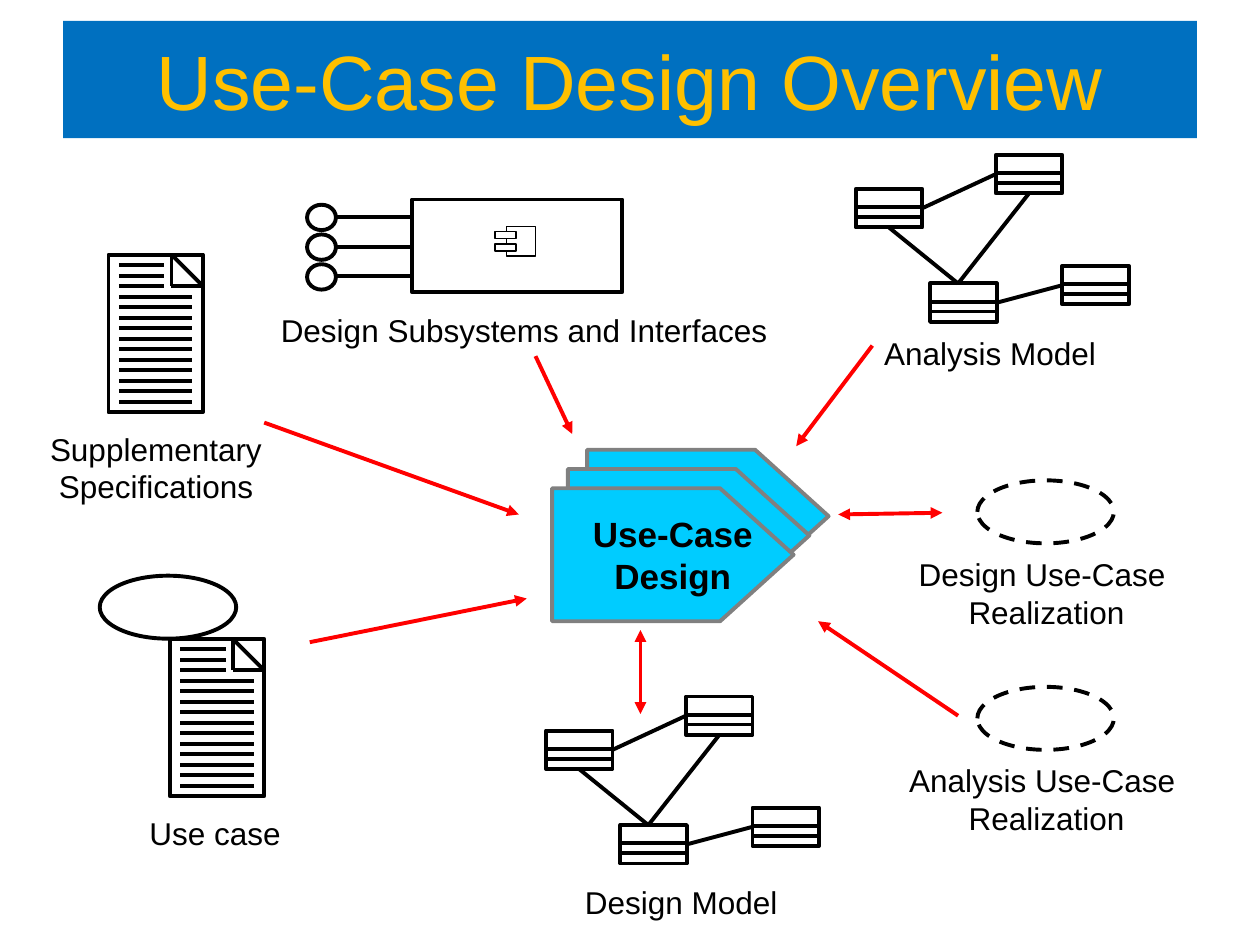
"""Builds a slide giving an overview of use-case design and its inputs and outputs."""
from lxml import etree
from pptx import Presentation
from pptx.dml.color import RGBColor
from pptx.enum.dml import MSO_LINE
from pptx.enum.shapes import MSO_CONNECTOR, MSO_SHAPE
from pptx.enum.text import MSO_ANCHOR, MSO_AUTO_SIZE, PP_ALIGN
from pptx.oxml.ns import qn
from pptx.util import Pt

RECTANGLE, OVAL = MSO_SHAPE.RECTANGLE, MSO_SHAPE.OVAL
STRAIGHT, DASH = MSO_CONNECTOR.STRAIGHT, MSO_LINE.DASH
CENTER, MIDDLE = PP_ALIGN.CENTER, MSO_ANCHOR.MIDDLE
TOP_SIDE, LEFT_SIDE, BOTTOM_SIDE, RIGHT_SIDE = range(4)

BLACK = RGBColor(0x00, 0x00, 0x00)
RED = RGBColor(0xFF, 0x00, 0x00)
GRAY = RGBColor(0x80, 0x80, 0x80)
CYAN = RGBColor(0x00, 0xCC, 0xFF)
BLUE = RGBColor(0x00, 0x70, 0xC0)
GOLD = RGBColor(0xFF, 0xC0, 0x00)

FONT = "Arial"
THICK, THIN = 2.25, 1

TITLE = "Use-Case Design Overview"
TITLE_BOX = (36, 12, 648, 67)
PROCESS_NAME = ["Use-Case", "Design"]
PROCESS_CORNERS = [(335.5, 257), (324.5, 268), (315.5, 279)]
PROCESS_OUTLINE = [(0, 0), (96, 0), (138, 38), (96, 76), (0, 76)]

SPECIFICATION = ((62, 145.5), ["Supplementary", "Specifications"], (21.6, 242, 135, 50))
USE_CASE = ((97, 365), ["Use case"], (50.4, 461.5, 145, 29))
USE_CASE_OVAL = (57, 329, 78, 36)
MODELS = [
    ((312, 398), ["Design Model"], (327, 501, 124.5, 29)),
    ((489, 88.5), ["Analysis Model"], (498, 187.5, 135.5, 29)),
]
REALIZATIONS = [
    ((558.5, 274.5, 78, 36), ["Design Use-Case ", "Realization"], (518, 313.5, 160, 50)),
    ((558.5, 392.5, 78, 36), ["Analysis Use-Case ", "Realization"], (512.5, 431.5, 171, 50)),
]
SUBSYSTEM_BOX = (235.5, 114, 120, 53)
SUBSYSTEM_LABEL = (["Design Subsystems and Interfaces"], (153.5, 174, 292, 29))
INTERFACE_TOPS = [117, 134, 151]
COMPONENT_OUTLINE = [(289.5, 132), (289.5, 129.5), (306, 129.5),
                     (306, 146.5), (289.5, 146.5), (289.5, 144)]
COMPONENT_TABS = [132.3, 139.5]

CLASS_SIZE = (38, 22)
CLASS_OFFSETS = [(0, 19.5), (80, 0), (42.5, 73.5), (118, 63.5)]
CLASS_DIVIDERS = [10.5, 16]
CLASS_HUB = (58.5, 73.5)

ARROWS = [
    ((479, 294), (538.5, 293), True),
    ((177, 367), (301, 342), False),
    ((151, 241.5), (296.5, 294), False),
    ((498.5, 197.5), (455, 255), False),
    ((306, 203.5), (327, 248), False),
    ((366, 408), (366, 360), True),
    ((547.5, 409), (467.5, 355), False),
]


def add_line(shapes, start, end, color=BLACK, width=THICK):
    line = shapes.add_connector(STRAIGHT, *map(Pt, start + end))
    line.line.color.rgb = color
    line.line.width = Pt(width)
    etree.SubElement(line._element.spPr, qn("a:effectLst"))
    return line


def add_arrow(shapes, start, end, both_ends):
    outline = add_line(shapes, start, end, RED).line._get_or_add_ln()
    for tag in ["a:headEnd", "a:tailEnd"] if both_ends else ["a:tailEnd"]:
        etree.SubElement(outline, qn(tag), type="triangle")


def style_shape(shape, color=BLACK, width=THICK, fill=None):
    shape.shadow.inherit = False
    if fill is None:
        shape.fill.background()
    else:
        shape.fill.solid()
        shape.fill.fore_color.rgb = fill
    shape.line.color.rgb = color
    shape.line.width = Pt(width)
    return shape


def add_outline(shapes, kind, box, width=THICK):
    return style_shape(shapes.add_shape(kind, *map(Pt, box)), width=width)


def add_freeform(shapes, points, close):
    corners = [(Pt(x), Pt(y)) for x, y in points]
    builder = shapes.build_freeform(*corners[0])
    builder.add_line_segments(corners[1:], close=close)
    return builder.convert_to_shape()


def write_lines(frame, lines, size, color=BLACK, bold=False):
    for index, line in enumerate(lines):
        paragraph = frame.add_paragraph() if index else frame.paragraphs[0]
        paragraph.alignment = CENTER
        run = paragraph.add_run()
        run.text = line
        run.font.name = FONT
        run.font.size = Pt(size)
        run.font.bold = bold
        run.font.color.rgb = color


def add_label(shapes, lines, box):
    frame = shapes.add_textbox(*map(Pt, box)).text_frame
    frame.word_wrap = False
    frame.auto_size = MSO_AUTO_SIZE.SHAPE_TO_FIT_TEXT
    frame.margin_left = frame.margin_right = Pt(0)
    write_lines(frame, lines, 18)


def add_document(shapes, corner, label, label_box):
    left, top = corner
    add_outline(shapes, RECTANGLE, (left, top, 54, 90))
    fold = [(left + 36, top), (left + 54, top + 18), (left + 36, top + 18)]
    for index, point in enumerate(fold):
        add_line(shapes, fold[index - 1], point)
    for row in range(1, 15):
        right = left + (32 if row <= 3 else 48)
        add_line(shapes, (left + 6, top + 6 * row), (right, top + 6 * row))
    add_label(shapes, label, label_box)


def add_model(shapes, corner, label, label_box):
    left, top = corner
    width, height = CLASS_SIZE
    classes = []
    for x, y in CLASS_OFFSETS:
        x, y = left + x, top + y
        classes.append(add_outline(shapes, RECTANGLE, (x, y, width, height)))
        for divider in CLASS_DIVIDERS:
            add_line(shapes, (x, y + divider), (x + width, y + divider))
    hub = (left + CLASS_HUB[0], top + CLASS_HUB[1])
    for index in (0, 1):
        x, y = CLASS_OFFSETS[index]
        end = (left + x + width / 2, top + y + height)
        add_line(shapes, hub, end).end_connect(classes[index], BOTTOM_SIDE)
    for first, second in [(0, 1), (2, 3)]:
        (x1, y1), (x2, y2) = CLASS_OFFSETS[first], CLASS_OFFSETS[second]
        link = add_line(shapes, (left + x1 + width, top + y1 + height / 2),
                        (left + x2, top + y2 + height / 2))
        link.begin_connect(classes[first], RIGHT_SIDE)
        link.end_connect(classes[second], LEFT_SIDE)
    add_label(shapes, label, label_box)


def add_subsystem(shapes):
    add_outline(shapes, RECTANGLE, SUBSYSTEM_BOX)
    for top in INTERFACE_TOPS:
        add_outline(shapes, OVAL, (175.5, top, 16.5, 14.5))
        add_line(shapes, (192, top + 7), (SUBSYSTEM_BOX[0], top + 7))
    add_label(shapes, *SUBSYSTEM_LABEL)
    icon = shapes.add_group_shape().shapes
    for top in COMPONENT_TABS:
        add_outline(icon, RECTANGLE, (283, top, 12, 4), THIN)
    style_shape(add_freeform(icon, COMPONENT_OUTLINE, False), width=THIN)
    add_line(icon, (289.5, 136.5), (289.5, 139.5), width=THIN)


def add_process(shapes):
    for left, top in PROCESS_CORNERS:
        points = [(left + x, top + y) for x, y in PROCESS_OUTLINE]
        process = style_shape(add_freeform(shapes, points, True), GRAY, fill=CYAN)
    frame = process.text_frame
    frame.word_wrap = False
    frame.vertical_anchor = MIDDLE
    write_lines(frame, PROCESS_NAME, 20, bold=True)


def add_title(slide):
    title = slide.shapes.title
    title.left, title.top, title.width, title.height = map(Pt, TITLE_BOX)
    title.fill.solid()
    title.fill.fore_color.rgb = BLUE
    title.text_frame.vertical_anchor = MIDDLE
    write_lines(title.text_frame, [TITLE], 44, GOLD)


def main():
    presentation = Presentation()
    presentation.slide_width, presentation.slide_height = Pt(720), Pt(540)
    slide = presentation.slides.add_slide(presentation.slide_layouts[5])
    shapes = slide.shapes
    add_title(slide)
    add_process(shapes)
    add_subsystem(shapes)
    add_document(shapes.add_group_shape().shapes, *SPECIFICATION)
    use_case = shapes.add_group_shape().shapes
    add_outline(use_case, OVAL, USE_CASE_OVAL)
    add_document(use_case, *USE_CASE)
    for model in MODELS:
        add_model(shapes.add_group_shape().shapes, *model)
    for oval, label, label_box in REALIZATIONS:
        realization = shapes.add_group_shape().shapes
        add_outline(realization, OVAL, oval).line.dash_style = DASH
        add_label(realization, label, label_box)
    for arrow in ARROWS:
        add_arrow(shapes, *arrow)
    presentation.save("out.pptx")


if __name__ == "__main__":
    main()
